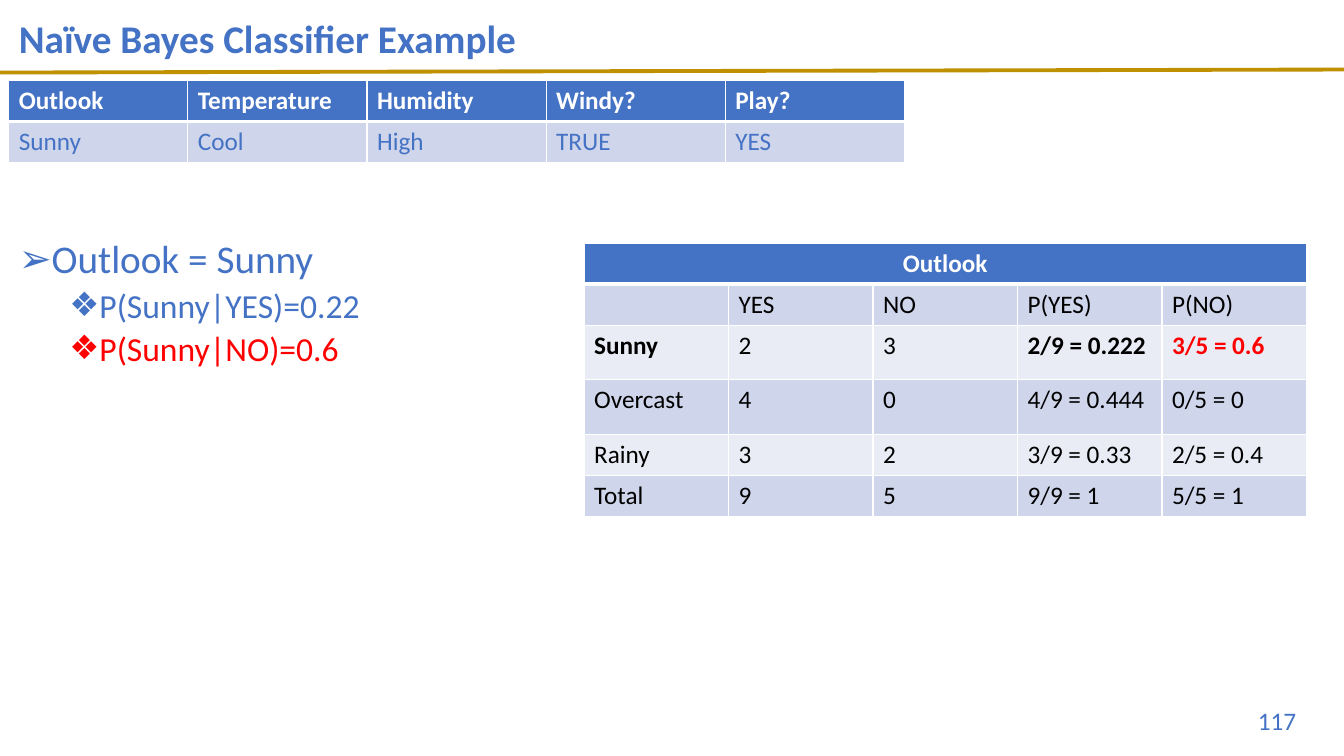
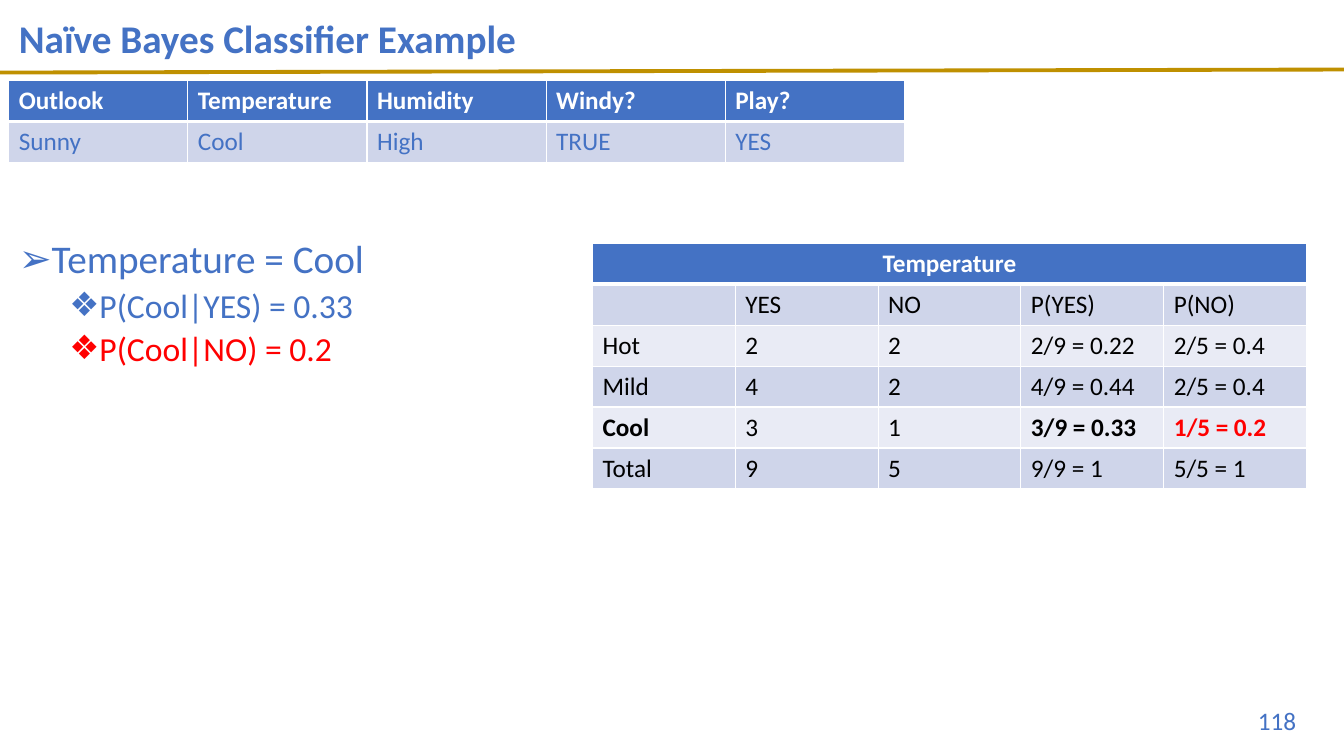
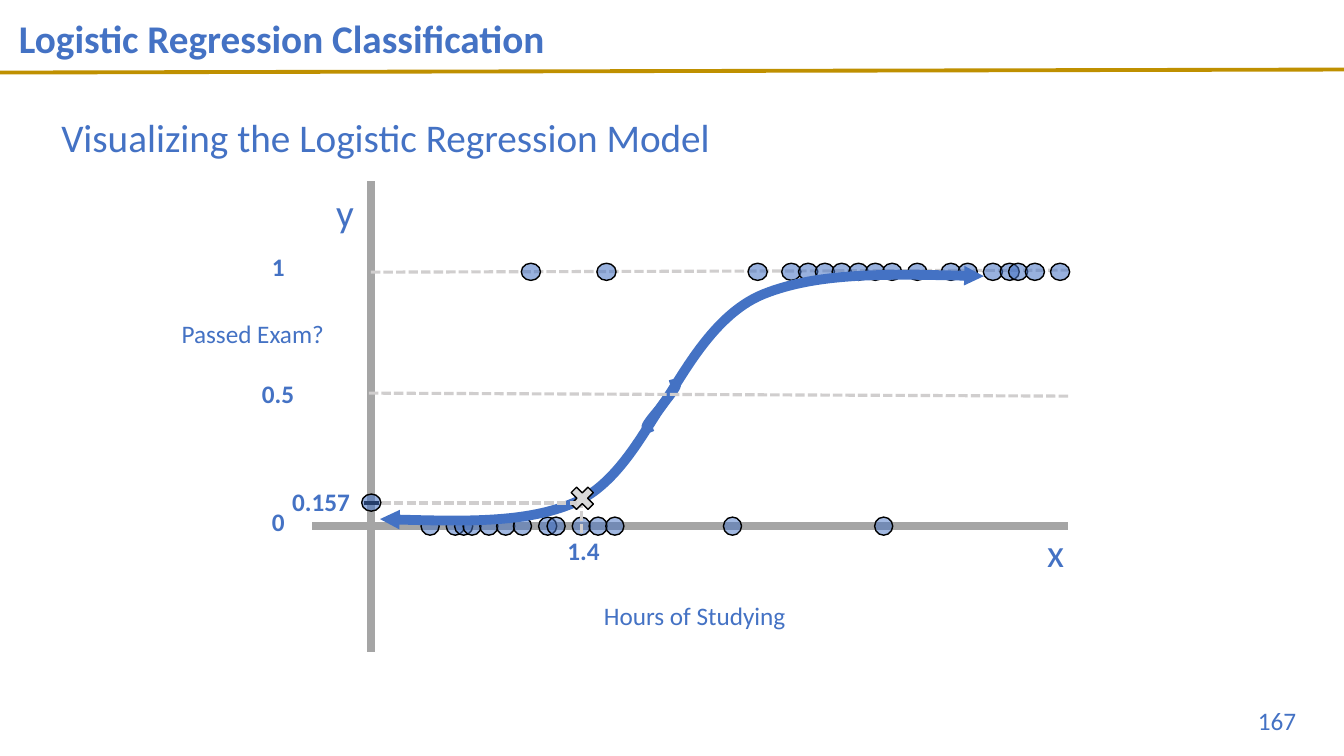
from dataclasses import dataclass

import pptx
import pptx.dml.color
import pptx.enum.dml
import pptx.enum.shapes
import pptx.enum.text
import pptx.oxml
import pptx.oxml.ns
import pptx.shapes.autoshape
import pptx.shapes.connector
import pptx.slide
import pptx.table
import pptx.text.text
import pptx.util

RGB = pptx.dml.color.RGBColor
SHAPE = pptx.enum.shapes.MSO_SHAPE
ALIGN = pptx.enum.text.PP_ALIGN
ANCHOR = pptx.enum.text.MSO_ANCHOR
Point = tuple[float, float]

BLUE = RGB(0x44, 0x72, 0xC4)
GOLD = RGB(0xBF, 0x90, 0x00)
RED = RGB(0xFF, 0x00, 0x00)
BLACK = RGB(0x00, 0x00, 0x00)
WHITE = RGB(0xFF, 0xFF, 0xFF)
BAND_DARK = RGB(0xCF, 0xD5, 0xEA)
BAND_LIGHT = RGB(0xE9, 0xEB, 0xF5)
AXIS_GRAY = RGB(0xA5, 0xA5, 0xA5)
GUIDE_GRAY = RGB(0xD0, 0xCE, 0xCE)
MARKER_GRAY = RGB(0xD9, 0xD9, 0xD9)
FONT = "Calibri"

# The slide is a grid of square cells, 12 to the inch.
COLUMNS, ROWS = 160, 90
ROW_HEIGHT = 4.88
TABLE_RIGHT = 155.54
AXIS_X, AXIS_Y = 44.16, 62.64
FIRST_DOT_X = 44.2


@dataclass(frozen=True)
class Box:
    left: float
    top: float
    width: float
    height: float

    def emu(self) -> list[pptx.util.Length]:
        return [cells(n) for n in (self.left, self.top, self.width, self.height)]


@dataclass(frozen=True)
class Feature:
    """One attribute of the weather data with its conditional probabilities."""
    number: int
    name: str
    value: str
    findings: tuple[str, str]
    counts: tuple[tuple[str, ...], ...]
    column: float
    tall_rows: tuple[int, ...] = ()


@dataclass(frozen=True)
class Label:
    text: str
    box: Box
    size: float = 18
    bold: bool = False
    wrap: bool = True


@dataclass(frozen=True)
class Line:
    start: Point
    end: Point
    color: RGB = GUIDE_GRAY
    width: float = 2.25
    dashed: bool = True


@dataclass(frozen=True)
class DotRow:
    y: float
    width: float
    height: float
    opacity: int
    steps: tuple[int, ...]


FEATURES = (
    Feature(117, "Outlook", "Sunny", ("P(Sunny|YES)=0.22", "P(Sunny|NO)=0.6"), (
        ("Sunny", "2", "3", "2/9 = 0.222", "3/5 = 0.6"),
        ("Overcast", "4", "0", "4/9 = 0.444", "0/5 = 0"),
        ("Rainy", "3", "2", "3/9 = 0.33", "2/5 = 0.4"),
    ), 17.2, (2, 3)),
    Feature(118, "Temperature", "Cool", ("P(Cool|YES) = 0.33", "P(Cool|NO) = 0.2"), (
        ("Hot", "2", "2", "2/9 = 0.22", "2/5 = 0.4"),
        ("Mild", "4", "2", "4/9 = 0.44", "2/5 = 0.4"),
        ("Cool", "3", "1", "3/9 = 0.33", "1/5 = 0.2"),
    ), 17),
)
COUNT_HEADINGS = ("", "YES", "NO", "P(YES)", "P(NO)")
TOTALS = ("Total", "9", "5", "9/9 = 1", "5/5 = 1")
SAMPLE = (("Outlook", "Temperature", "Humidity", "Windy?", "Play?"),
          ("Sunny", "Cool", "High", "TRUE", "YES"))

AXES = (
    Line((AXIS_X, 21.6), (AXIS_X, 77.64), AXIS_GRAY, 6, False),
    Line((37.2, AXIS_Y), (127.2, AXIS_Y), AXIS_GRAY, 6, False),
    Line((AXIS_X, 32.4), (127.2, 32.16)),
)
MIDDLE_GUIDE = Line((43.92, 46.8), (127.44, 47.16))
HOURS_GUIDE = Line((69.24, 63.48), (69.24, 59.28))
CHANCE_GUIDE = Line((43.92, 59.88), (68.64, 59.88))
CHANCE_TICK = Line((43.32, 59.88), (45.12, 59.88), BLACK, 3, False)
DOT_ROWS = (
    DotRow(32.36, 2.28, 2.04, 55, (19, 28, 46, 50, 52, 54, 56, 58, 60, 62, 65,
                                   69, 71, 74, 76, 77, 79, 82)),
    DotRow(AXIS_Y, 2.16, 2.16, 50, (7, 10, 11, 12, 14, 16, 18, 21, 22, 25, 27,
                                    29, 43, 61)),
)
CHANCE_DOT = DotRow(59.84, 2.28, 2.04, 55, (0,))
UPPER_CURVE = ((117.12, 32.88), (107.16, 32.64), (97.32, 32.4), (90.84, 35.04),
               (84.36, 37.68), (80.64, 46.08), (78.48, 48.72),
               (76.2, 51.36), (76.92, 51.12), (77.64, 50.76))
LOWER_CURVE = ((45.24, 61.8), (53.88, 62.04), (62.64, 62.28), (68.28, 59.88),
               (73.92, 57.6), (77.28, 50.04), (79.2, 47.76),
               (81.12, 45.36), (80.52, 45.6), (79.8, 45.84))
LABELS = (
    Label("0", Box(31.2, 59.7, 4, 4.8), bold=True, wrap=False),
    Label("1", Box(31.2, 29.34, 4, 4.8), bold=True, wrap=False),
    Label("x", Box(123.48, 62.28, 7.3, 6.8), 28),
    Label("y", Box(38.84, 21.84, 7.3, 6.8), 28),
    Label("Hours of Studying", Box(70.72, 70.84, 43, 4.8)),
    Label("Passed Exam?", Box(20.44, 37.32, 43, 4.8)),
    Label("0.5", Box(30, 44.46, 6.24, 4.8), bold=True, wrap=False),
    Label("1.4", Box(66.36, 63.18, 8, 4.8), bold=True),
    Label("0.157", Box(33.6, 57.28, 9.4, 4.8), bold=True, wrap=False),
)


def cells(n: float) -> pptx.util.Length:
    return pptx.util.Emu(round(n * pptx.util.Inches(1) / 12))


def element(xml: str):
    """Parse an element whose tag opens with the a: prefix."""
    tag, rest = xml.split(" ", 1)
    return pptx.oxml.parse_xml(f"{tag} {pptx.oxml.ns.nsdecls('a')} {rest}")


def write(p: pptx.text.text._Paragraph, text: str, *, size: float = 18,
          color: RGB = BLUE, bold: bool = False, align: ALIGN = ALIGN.LEFT,
          line_spacing: float = 1.0, before: float = 0) -> None:
    p.alignment = align
    p.line_spacing = line_spacing
    p.space_before = pptx.util.Pt(before)
    r = p.add_run()
    r.text = text
    r.font.name = FONT
    r.font.size = pptx.util.Pt(size)
    r.font.bold = bold
    r.font.color.rgb = color


def add_text(s: pptx.slide.Slide, box: Box, text: str, *, anchor: ANCHOR = ANCHOR.TOP,
             wrap: bool = True, **style) -> pptx.text.text.TextFrame:
    tf = s.shapes.add_textbox(*box.emu()).text_frame
    tf.word_wrap = wrap
    tf.vertical_anchor = anchor
    write(tf.paragraphs[0], text, **style)
    return tf


def add_line(s: pptx.slide.Slide, line: Line) -> pptx.shapes.connector.Connector:
    ends = [cells(n) for n in (*line.start, *line.end)]
    sp = s.shapes.add_connector(pptx.enum.shapes.MSO_CONNECTOR.STRAIGHT, *ends)
    sp.line.color.rgb = line.color
    sp.line.width = pptx.util.Pt(line.width)
    if line.dashed:
        sp.line.dash_style = pptx.enum.dml.MSO_LINE.SQUARE_DOT
    sp._element.spPr.append(element("<a:effectLst />"))
    return sp


def add_outlined(s: pptx.slide.Slide, kind: SHAPE, box: Box, color: RGB,
                 opacity: int = 100) -> pptx.shapes.autoshape.Shape:
    sp = s.shapes.add_shape(kind, *box.emu())
    sp.shadow.inherit = False
    sp.fill.solid()
    sp.fill.fore_color.rgb = color
    if opacity < 100:
        rgb = sp._element.spPr.find(".//" + pptx.oxml.ns.qn("a:srgbClr"))
        rgb.append(element(f'<a:alpha val="{opacity * 1000}"/>'))
    sp.line.color.rgb = BLACK
    sp.line.width = pptx.util.Pt(1)
    return sp


def add_dots(s: pptx.slide.Slide, row: DotRow) -> None:
    for step in row.steps:
        box = Box(FIRST_DOT_X + step - row.width / 2, row.y - row.height / 2,
                  row.width, row.height)
        add_outlined(s, SHAPE.OVAL, box, BLUE, row.opacity)


def add_curve(s: pptx.slide.Slide, knots: tuple[Point, ...]) -> None:
    """Draw joined cubic curves with an arrowhead at the first point."""
    builder = s.shapes.build_freeform(*map(cells, knots[0]))
    builder.add_line_segments([(cells(x), cells(y)) for x, y in knots[1:]], close=False)
    sp = builder.convert_to_shape()
    segments = list(sp._element.iter(pptx.oxml.ns.qn("a:lnTo")))
    for i in range(0, len(segments), 3):
        cubic = element("<a:cubicBezTo />")
        segments[i].addprevious(cubic)
        for segment in segments[i:i + 3]:
            cubic.append(segment[0])
            segment.getparent().remove(segment)
    sp.shadow.inherit = False
    sp.fill.background()
    sp.line.color.rgb = BLUE
    sp.line.width = pptx.util.Pt(7)
    sp.line._get_or_add_ln().append(
        element('<a:headEnd type="triangle" w="sm" len="sm"/>'))


def format_cell(cell: pptx.table._Cell, fill: RGB, bottom: float = 1) -> None:
    """Give a cell its fill and white borders, the bottom one in points."""
    tc_pr = cell._tc.get_or_add_tcPr()
    for side, width in zip("LRTB", (1, 1, 1, bottom)):
        tc_pr.append(element(
            f'<a:ln{side} w="{pptx.util.Pt(width)}"><a:solidFill>'
            f'<a:srgbClr val="{WHITE}"/></a:solidFill></a:ln{side}>'))
    cell.fill.solid()
    cell.fill.fore_color.rgb = fill


def add_table(s: pptx.slide.Slide, left: float, top: float, column: float,
              rows: tuple[tuple[str, ...], ...], *, color: RGB,
              tall_rows: tuple[int, ...] = (), key: str = "") -> None:
    """Draw a banded table; a heading row of one text spans every column.

    The row named by key has its label and probabilities in bold, the last in red.
    """
    count = len(rows[-1])
    heights = [ROW_HEIGHT * (4 / 3 if i in tall_rows else 1) for i in range(len(rows))]
    box = Box(left, top, column * count, sum(heights))
    table = s.shapes.add_table(len(rows), count, *box.emu()).table
    for col in table.columns:
        col.width = cells(column)
    for i, texts in enumerate(rows):
        table.rows[i].height = cells(heights[i])
        fill = BLUE if i == 0 else BAND_DARK if i % 2 else BAND_LIGHT
        for j in range(count):
            format_cell(table.cell(i, j), fill, 3 if i == 0 else 1)
        for j, text in enumerate(texts):
            marked = i > 0 and texts[0] == key and j in (0, 3, 4)
            text_color = WHITE if i == 0 else RED if marked and j == 4 else color
            if text:
                write(table.cell(i, j).text_frame.paragraphs[0], text,
                      color=text_color, bold=i == 0 or marked,
                      align=ALIGN.CENTER if len(texts) == 1 else ALIGN.LEFT)
    if len(rows[0]) == 1:
        table.cell(0, 0).merge(table.cell(0, count - 1))


def set_bullet(p: pptx.text.text._Paragraph, char: str, margin: float) -> None:
    p_pr = p._p.get_or_add_pPr()
    p_pr.set("marL", str(pptx.util.Inches(margin)))
    p_pr.set("indent", str(pptx.util.Inches(-0.25)))
    p_pr.append(element(f'<a:buFont typeface="{FONT}"/>'))
    p_pr.append(element(f'<a:buChar char="{char}"/>'))


def add_slide(prs: pptx.presentation.Presentation, title: str,
              number: int) -> pptx.slide.Slide:
    s = prs.slides.add_slide(prs.slide_layouts[6])
    add_line(s, Line((0, 8.64), (COLUMNS, 8.28), GOLD, 2.75, False))
    add_text(s, Box(1.08, 0, 138, 9.6), title, size=28, bold=True,
             anchor=ANCHOR.MIDDLE, line_spacing=0.9)
    add_text(s, Box(119.5, 83.4, 36, 4.8), str(number), align=ALIGN.RIGHT)
    return s


def add_feature_slide(prs: pptx.presentation.Presentation, feature: Feature) -> None:
    s = add_slide(prs, "Naïve Bayes Classifier Example", feature.number)
    tf = add_text(s, Box(1.08, 27.96, 66.7, 49.4), f"{feature.name} = {feature.value}",
                  size=28, line_spacing=0.9)
    set_bullet(tf.paragraphs[0], "➢", 0.25)
    for text, color in zip(feature.findings, (BLUE, RED)):
        p = tf.add_paragraph()
        p.level = 1
        write(p, text, size=24, color=color, line_spacing=0.9, before=5)
        set_bullet(p, "❖", 0.75)
    rows = ((feature.name,), COUNT_HEADINGS, *feature.counts, TOTALS)
    left = TABLE_RIGHT - feature.column * len(COUNT_HEADINGS)
    add_table(s, left, 28.96, feature.column, rows, color=BLACK,
              tall_rows=feature.tall_rows, key=feature.value)
    add_table(s, 1.04, 9.6, 21.33, SAMPLE, color=BLUE)


def add_logistic_slide(prs: pptx.presentation.Presentation) -> None:
    s = add_slide(prs, "Logistic Regression Classification", 167)
    for line in AXES:
        add_line(s, line)
    for row in DOT_ROWS:
        add_dots(s, row)
    for knots in (UPPER_CURVE, LOWER_CURVE):
        add_curve(s, knots)
    add_text(s, Box(6.12, 9.12, 102, 15), "Visualizing the Logistic Regression Model",
             size=28, anchor=ANCHOR.MIDDLE, line_spacing=0.9)
    add_line(s, MIDDLE_GUIDE)
    add_line(s, HOURS_GUIDE)
    add_outlined(s, SHAPE.MATH_MULTIPLY, Box(67.4, 57.4, 3.84, 3.84), MARKER_GRAY)
    add_line(s, CHANCE_GUIDE)
    add_line(s, CHANCE_TICK)
    add_dots(s, CHANCE_DOT)
    for label in LABELS:
        add_text(s, label.box, label.text, size=label.size, bold=label.bold,
                 wrap=label.wrap)


def main() -> None:
    prs = pptx.Presentation()
    prs.slide_width, prs.slide_height = cells(COLUMNS), cells(ROWS)
    for feature in FEATURES:
        add_feature_slide(prs, feature)
    add_logistic_slide(prs)
    prs.save("out.pptx")


if __name__ == "__main__":
    main()
